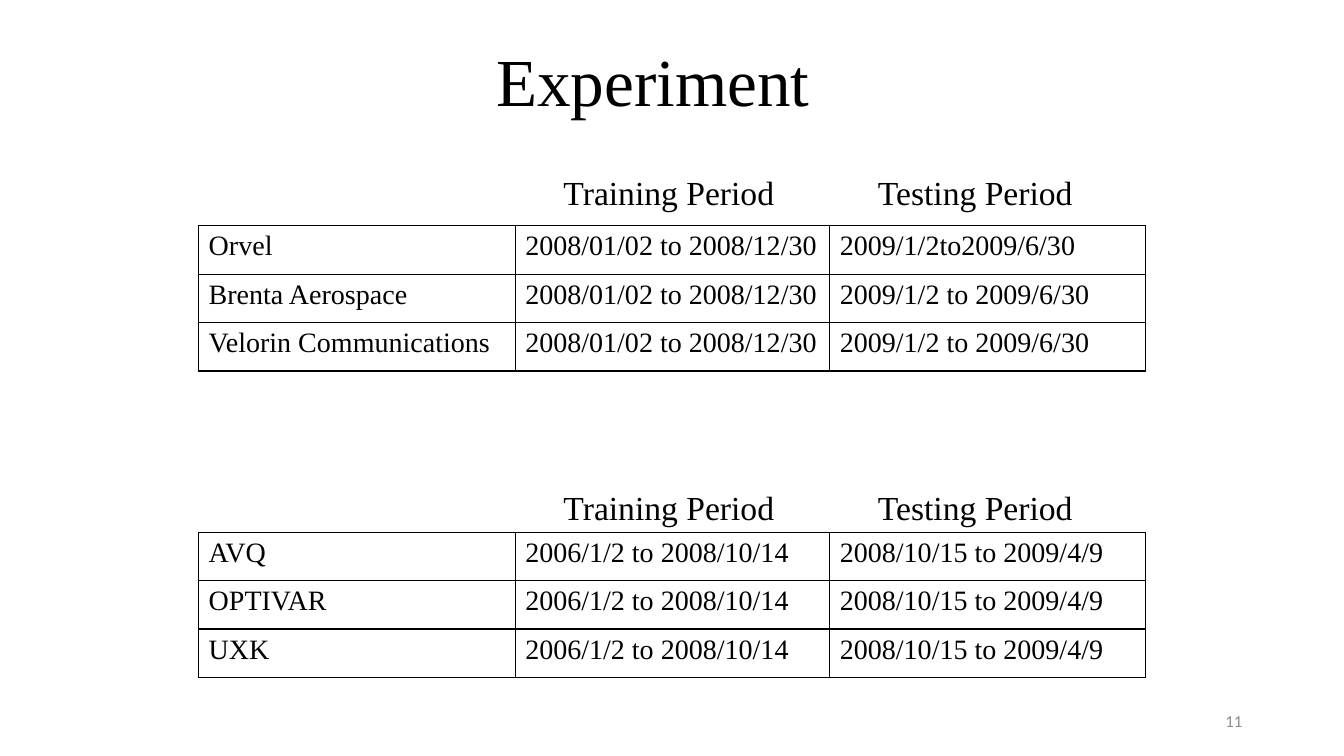
from lxml.etree import SubElement
from pptx import Presentation
from pptx.dml.color import RGBColor
from pptx.enum.text import MSO_ANCHOR, PP_ALIGN
from pptx.oxml.ns import qn
from pptx.util import Inches, Pt

BLACK = RGBColor(0x00, 0x00, 0x00)
GRAY = RGBColor(0x8C, 0x8C, 0x8C)
SERIF = "Times New Roman"

TITLE = {"name": SERIF, "size": Pt(48)}
HEADING = {"name": SERIF, "size": Pt(24)}
CELL = {"name": SERIF, "size": Pt(20)}
NUMBER = {"name": "Calibri", "size": Pt(12)}

COLUMN_WIDTHS = [3.14, 3.12, 3.13]
ROW_HEIGHT = 0.48
HEADING_INDENT = 0.38
HEADINGS = ["Training Period", "Testing Period"]

UPPER_TRAINING = "2008/01/02 to 2008/12/30"
UPPER_ROWS = [
    ["Orvel", UPPER_TRAINING, "2009/1/2to2009/6/30"],
    ["Brenta Aerospace", UPPER_TRAINING, "2009/1/2 to 2009/6/30"],
    ["Velorin Communications", UPPER_TRAINING, "2009/1/2 to 2009/6/30"],
]
LOWER_ROWS = [
    [label, "2006/1/2 to 2008/10/14", "2008/10/15 to 2009/4/9"]
    for label in ["AVQ", "OPTIVAR", "UXK"]
]


def write_text(tf, text, fmt, color=BLACK):
    """Write one formatted run into a text frame and return its paragraph."""
    p = tf.paragraphs[0]
    r = p.add_run()
    r.text = text
    for key, value in fmt.items():
        setattr(r.font, key, value)
    r.font.color.rgb = color
    return p


def add_text(s, box, text, fmt, color=BLACK, align=PP_ALIGN.LEFT, anchor=MSO_ANCHOR.TOP):
    """Add a wrapped text box and return its paragraph."""
    tf = s.shapes.add_textbox(*map(Inches, box)).text_frame
    tf.word_wrap = True
    tf.vertical_anchor = anchor
    p = write_text(tf, text, fmt, color)
    p.alignment = align
    return p


def set_borders(cell):
    """Give a cell thin black borders on every side."""
    tcPr = cell._tc.get_or_add_tcPr()
    for i, side in enumerate(("a:lnL", "a:lnR", "a:lnT", "a:lnB")):
        ln = tcPr.makeelement(qn(side), {"w": str(Pt(1))})
        fill = SubElement(ln, qn("a:solidFill"))
        SubElement(fill, qn("a:srgbClr"), val=str(BLACK))
        tcPr.insert(i, ln)


def add_periods(s, left, top, heading_rise, rows):
    """Add a table of periods with column headings above it."""
    for i, heading in enumerate(HEADINGS, 1):
        x = left + sum(COLUMN_WIDTHS[:i]) + HEADING_INDENT
        add_text(s, (x, top - heading_rise, COLUMN_WIDTHS[i], 0.5), heading, HEADING)

    box = (left, top, sum(COLUMN_WIDTHS), ROW_HEIGHT * len(rows))
    table = s.shapes.add_table(len(rows), len(COLUMN_WIDTHS), *map(Inches, box)).table
    table.first_row = table.horz_banding = False
    for column, width in zip(table.columns, COLUMN_WIDTHS):
        column.width = Inches(width)
    for r, values in enumerate(rows):
        table.rows[r].height = Inches(ROW_HEIGHT)
        for c, value in enumerate(values):
            cell = table.cell(r, c)
            cell.fill.background()
            set_borders(cell)
            write_text(cell.text_frame, value, CELL)


def main():
    """Build the experiment slide and save it."""
    prs = Presentation()
    prs.slide_width, prs.slide_height = Inches(13.33), Inches(7.5)
    s = prs.slides.add_slide(prs.slide_layouts[6])
    p = add_text(s, (0.3, 0.43, 12.35, 1.45), "Experiment", TITLE, align=PP_ALIGN.CENTER)
    p.line_spacing = 0.9
    add_periods(s, 1.97, 2.24, 0.58, UPPER_ROWS)
    add_periods(s, 1.97, 5.28, 0.5, LOWER_ROWS)
    add_text(s, (9.42, 6.95, 3, 0.4), "11", NUMBER, GRAY, PP_ALIGN.RIGHT, MSO_ANCHOR.MIDDLE)
    prs.save("out.pptx")


if __name__ == "__main__":
    main()
